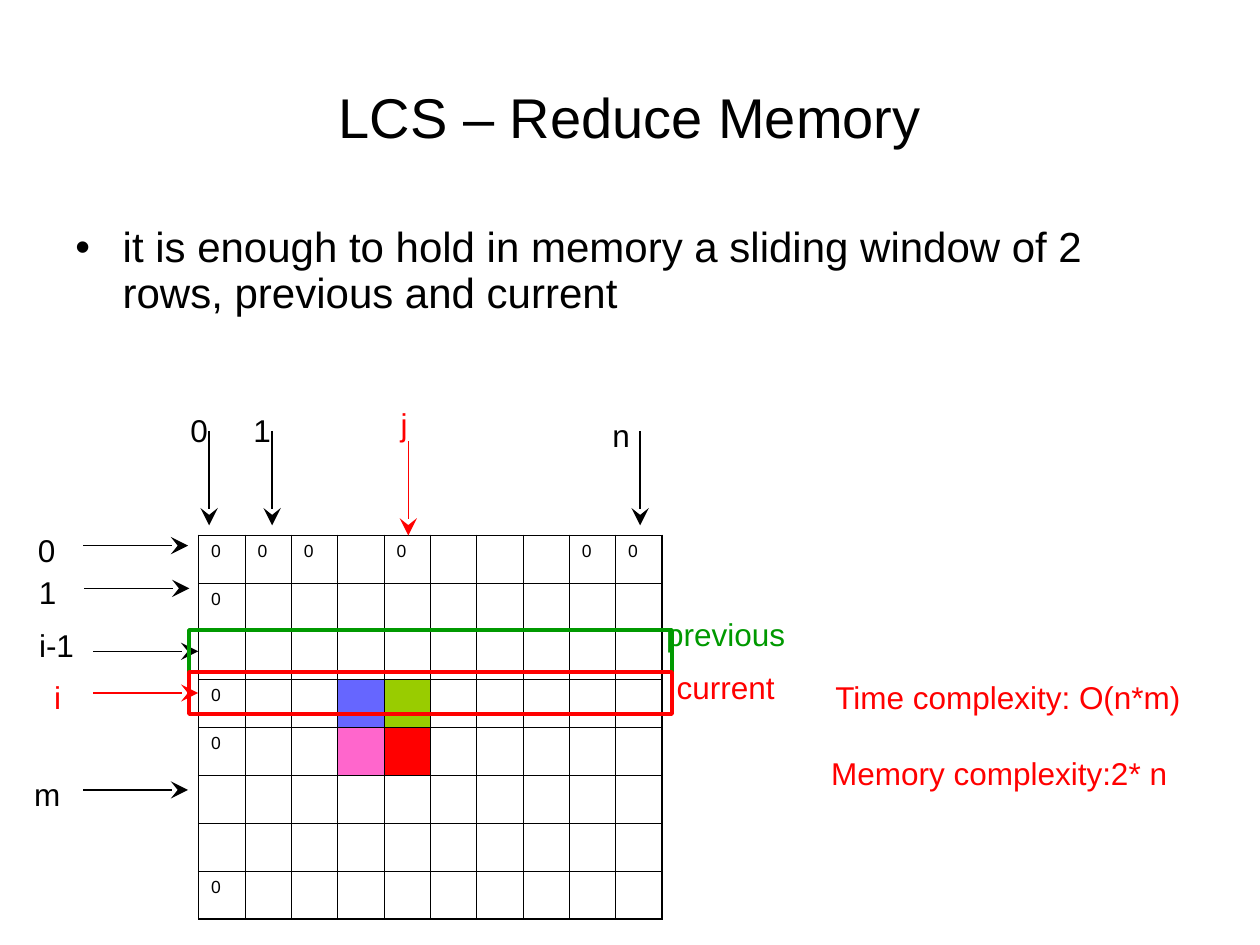
from lxml import etree
from pptx import Presentation
from pptx.dml.color import RGBColor
from pptx.enum import shapes, text
from pptx.oxml.ns import qn
from pptx.util import Pt

FONT = "Arial"
COLORS = {"black": "000000", "red": "FF0000", "green": "009900",
          "blue": "6666FF", "lime": "99CC00", "pink": "FF66CC"}

TITLE = "LCS – Reduce Memory"
BULLET = "it is enough to hold in memory a sliding window of 2 rows, previous and current"
COMPLEXITY = ["Time complexity: O(n*m)", "Memory complexity:2* n"]

GRID_LEFT, GRID_TOP = 113.5, 306
ROWS, COLUMNS = 8, 10
COLUMN_WIDTH, ROW_HEIGHT = 26.5, 27.4
ZERO_CELLS = ([(0, column) for column in (0, 1, 2, 4, 8, 9)]
              + [(row, 0) for row in (1, 3, 4, 7)])
CELL_FILLS = {(3, 3): "blue", (3, 4): "lime", (4, 3): "pink", (4, 4): "red"}
CELL_SIZE = 10
INNER_BORDER, OUTER_BORDER = 0.45, 1.08

LABEL_HEIGHT = 28.8
ROW_ARROW, COLUMN_ARROW = (60, 0), (0, 54)
# label, color, label left, top and width, arrow start x and y, arrow extent
INDEXES = [
    ("i", "red", 23.8, 383.8, 18, 53.3, 396, ROW_ARROW),
    ("i-1", "black", 15, 354.2, 34.6, 53.3, 372.2, ROW_ARROW),
    ("0", "black", 14.4, 300, 24.5, 47.5, 311.8, ROW_ARROW),
    ("m", "black", 12.2, 439.2, 29.5, 47.5, 451.4, ROW_ARROW),
    ("1", "black", 15, 324, 24.5, 48.2, 336.2, ROW_ARROW),
    ("j", "red", 221.8, 228.2, 18, 233.3, 252, COLUMN_ARROW),
    ("n", "black", 342.7, 234, 24.5, 365.8, 246.2, COLUMN_ARROW),
    ("0", "black", 101.5, 231.1, 24.5, 119.5, 246.2, COLUMN_ARROW),
    ("1", "black", 137.5, 231.1, 24.5, 155.5, 246.2, COLUMN_ARROW),
]
# label, color, label left, top and width, frame top
WINDOW_ROWS = [
    ("previous", "green", 371.7, 347.8, 86, 360),
    ("current", "red", 377.5, 378, 74.5, 384),
]
FRAME_LEFT, FRAME_WIDTH, FRAME_HEIGHT = 108, 276, 24


def rgb(color):
    return RGBColor.from_string(COLORS[color])


def style(paragraph, size, color="black"):
    paragraph.font.name = FONT
    paragraph.font.size = Pt(size)
    paragraph.font.color.rgb = rgb(color)


def add_label(slide, lines, color, left, top, width, height=LABEL_HEIGHT):
    box = slide.shapes.add_textbox(Pt(left), Pt(top), Pt(width), Pt(height))
    frame = box.text_frame
    frame.word_wrap = False
    frame.auto_size = text.MSO_AUTO_SIZE.SHAPE_TO_FIT_TEXT
    frame.text = "\n".join(lines)
    for paragraph in frame.paragraphs:
        paragraph.alignment = text.PP_ALIGN.CENTER
        style(paragraph, 18, color)
    return frame


def add_arrow(slide, color, x, y, extent):
    arrow = slide.shapes.add_connector(
        shapes.MSO_CONNECTOR.STRAIGHT, Pt(x), Pt(y), Pt(x + extent[0]), Pt(y + extent[1]))
    arrow.line.color.rgb = rgb(color)
    arrow.line.width = Pt(0.75)
    etree.SubElement(arrow.line._get_or_add_ln(), qn("a:tailEnd"),
                     type="stealth", w="lg", len="lg")
    etree.SubElement(arrow._element.spPr, qn("a:effectLst"))


def add_frame(slide, color, top):
    frame = slide.shapes.add_shape(
        shapes.MSO_SHAPE.RECTANGLE, Pt(FRAME_LEFT), Pt(top), Pt(FRAME_WIDTH), Pt(FRAME_HEIGHT))
    frame.shadow.inherit = False
    frame.fill.background()
    frame.line.color.rgb = rgb(color)
    frame.line.width = Pt(2)


def set_borders(cell, row, column):
    outer_sides = {"a:lnL": column == 0, "a:lnR": column == COLUMNS - 1,
                   "a:lnT": row == 0, "a:lnB": row == ROWS - 1}
    properties = cell._tc.get_or_add_tcPr()
    for position, (side, outer) in enumerate(outer_sides.items()):
        width = Pt(OUTER_BORDER if outer else INNER_BORDER)
        line = etree.Element(qn(side), w=str(width))
        fill = etree.SubElement(line, qn("a:solidFill"))
        etree.SubElement(fill, qn("a:srgbClr"), val=COLORS["black"])
        properties.insert(position, line)


def set_empty_font(paragraph):
    """Keep a paragraph without runs from stretching its row."""
    end = etree.SubElement(paragraph._p, qn("a:endParaRPr"), sz=str(CELL_SIZE * 100))
    etree.SubElement(end, qn("a:latin"), typeface=FONT)


def add_grid(slide):
    table = slide.shapes.add_table(
        ROWS, COLUMNS, Pt(GRID_LEFT), Pt(GRID_TOP),
        Pt(COLUMNS * COLUMN_WIDTH), Pt(ROWS * ROW_HEIGHT)).table
    table.first_row = table.horz_banding = False
    for column in table.columns:
        column.width = Pt(COLUMN_WIDTH)
    for row in table.rows:
        row.height = Pt(ROW_HEIGHT)
    for index, cell in enumerate(table.iter_cells()):
        place = divmod(index, COLUMNS)
        if place in CELL_FILLS:
            cell.fill.solid()
            cell.fill.fore_color.rgb = rgb(CELL_FILLS[place])
        else:
            cell.fill.background()
        set_borders(cell, *place)
        paragraph = cell.text_frame.paragraphs[0]
        if place in ZERO_CELLS:
            paragraph.text = "0"
            style(paragraph, CELL_SIZE)
        else:
            set_empty_font(paragraph)


def add_title(slide):
    title = slide.shapes.title
    title.left, title.top, title.width, title.height = Pt(36), Pt(21.6), Pt(648), Pt(90)
    title.text_frame.text = TITLE
    title.text_frame.vertical_anchor = text.MSO_ANCHOR.MIDDLE
    paragraph = title.text_frame.paragraphs[0]
    paragraph.alignment = text.PP_ALIGN.CENTER
    style(paragraph, 32)


def add_bullet(slide):
    frame = slide.shapes.add_textbox(Pt(36), Pt(126), Pt(636), Pt(144)).text_frame
    frame.word_wrap = True
    paragraph = frame.paragraphs[0]
    paragraph.text = BULLET
    paragraph.line_spacing = 0.9
    properties = paragraph._p.get_or_add_pPr()
    properties.set("marL", str(Pt(27)))
    properties.set("indent", str(Pt(-27)))
    etree.SubElement(properties, qn("a:buFont"), typeface=FONT)
    etree.SubElement(properties, qn("a:buChar"), char="•")
    style(paragraph, 24)


def main():
    deck = Presentation()
    deck.slide_width, deck.slide_height = Pt(720), Pt(540)
    slide = deck.slides.add_slide(deck.slide_layouts[5])
    add_title(slide)
    add_bullet(slide)
    add_grid(slide)
    for label, color, left, top, width, x, y, extent in INDEXES:
        add_arrow(slide, color, x, y, extent)
        add_label(slide, [label], color, left, top, width)
    memory = add_label(slide, COMPLEXITY, "red", 460, 384, 232, 93.6).paragraphs[1]
    memory.space_before = Pt(21.6)
    memory._p.get_or_add_pPr().set("marR", str(Pt(10)))
    for label, color, left, top, width, frame_top in WINDOW_ROWS:
        add_frame(slide, color, frame_top)
        add_label(slide, [label], color, left, top, width)
    deck.save("out.pptx")


if __name__ == "__main__":
    main()
